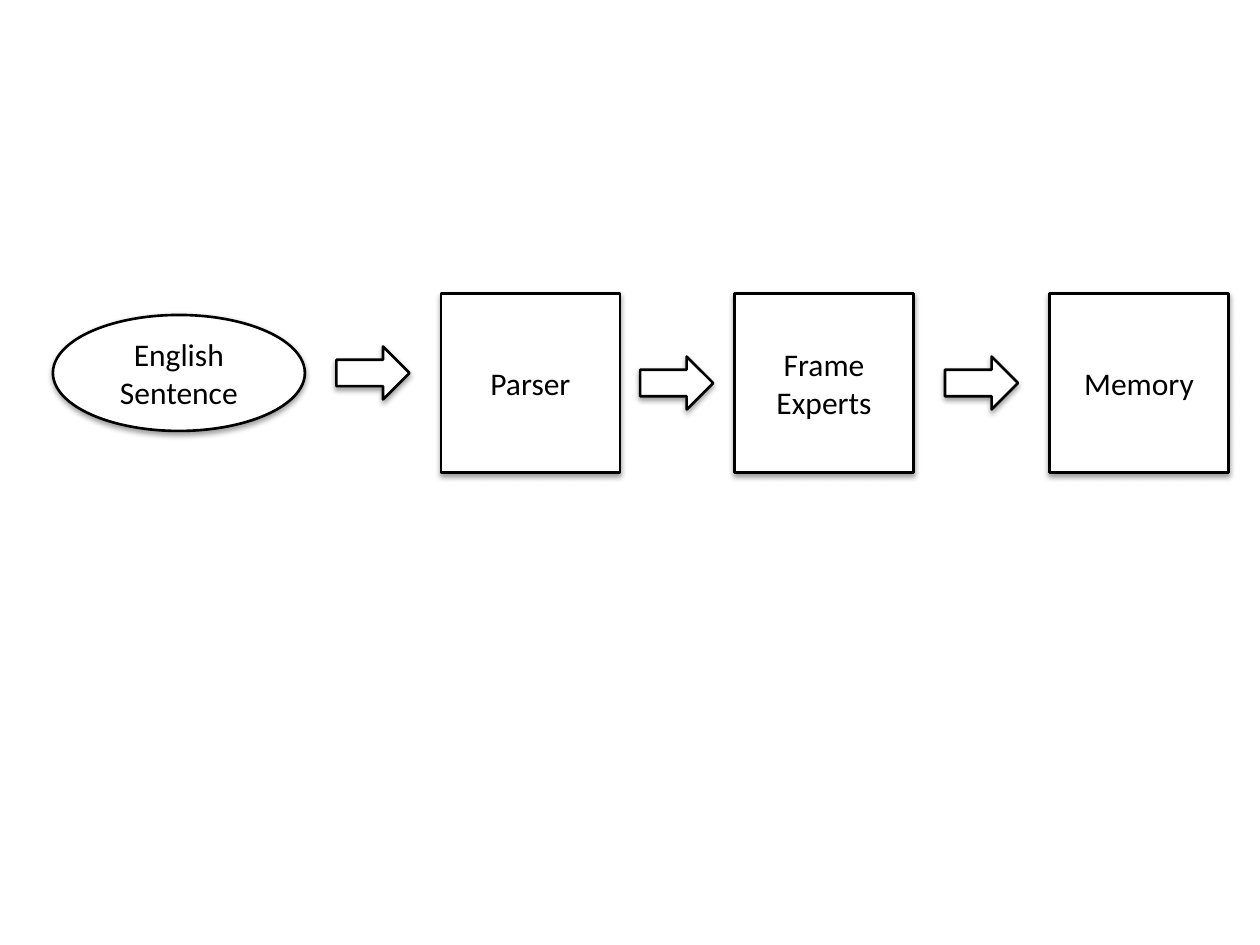
from lxml import etree
from pptx import Presentation
from pptx.dml.color import RGBColor
from pptx.enum.shapes import MSO_SHAPE
from pptx.enum.text import MSO_ANCHOR, PP_ALIGN
from pptx.oxml import parse_xml
from pptx.oxml.ns import qn
from pptx.util import Inches, Pt

SHADOW = (
    '<a:outerShdw xmlns:a="http://schemas.openxmlformats.org/drawingml/2006/main" '
    'blurRad="40000" dist="20000" dir="5400000" rotWithShape="0">'
    '<a:srgbClr val="000000"><a:alpha val="38000"/></a:srgbClr></a:outerShdw>'
)


def color(value):
    return RGBColor.from_string(value)


def add_outlined_shape(kind, left, top, width, height, text=""):
    shape = slide.shapes.add_shape(
        kind, Inches(left), Inches(top), Inches(width), Inches(height))
    shape.fill.solid()
    shape.fill.fore_color.rgb = color("FFFFFF")
    shape.line.color.rgb = color("000000")
    shape.line.width = Pt(1.5)

    # Soft shadow below the shape
    shape.shadow.inherit = False
    effects = shape.element.spPr.find(qn("a:effectLst"))
    effects.append(parse_xml(SHADOW))

    if text:
        text_frame = shape.text_frame
        text_frame.text = text
        text_frame.word_wrap = True
        text_frame.vertical_anchor = MSO_ANCHOR.MIDDLE
        for paragraph in text_frame.paragraphs:
            paragraph.alignment = PP_ALIGN.CENTER
            for run in paragraph.runs:
                run.font.name = "Calibri"
                run.font.size = Pt(18)
                run.font.color.rgb = color("000000")


presentation = Presentation()
presentation.slide_width = Inches(10)
presentation.slide_height = Inches(7.5)
slide = presentation.slides.add_slide(presentation.slide_layouts[6])

# Input sentence
add_outlined_shape(MSO_SHAPE.OVAL, 0.42, 2.5, 2, 0.92, "English Sentence")

# Processing stages
for left, label in [(3.5, "Parser"), (5.83, "Frame\nExperts"), (8.33, "Memory")]:
    add_outlined_shape(MSO_SHAPE.RECTANGLE, left, 2.33, 1.42, 1.42, label)

# Arrows between the stages
for left, top in [(2.67, 2.75), (5.08, 2.83), (7.5, 2.83)]:
    add_outlined_shape(MSO_SHAPE.RIGHT_ARROW, left, top, 0.58, 0.42)

presentation.save("out.pptx")
